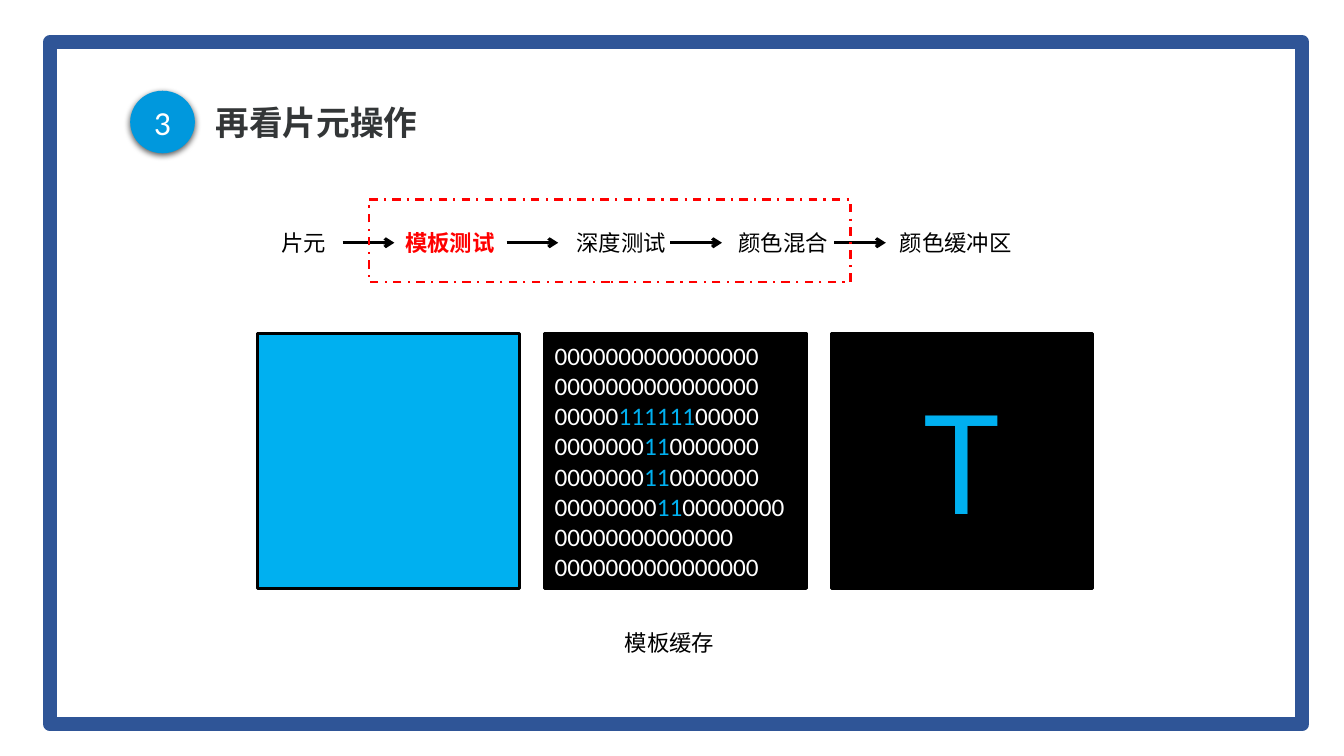
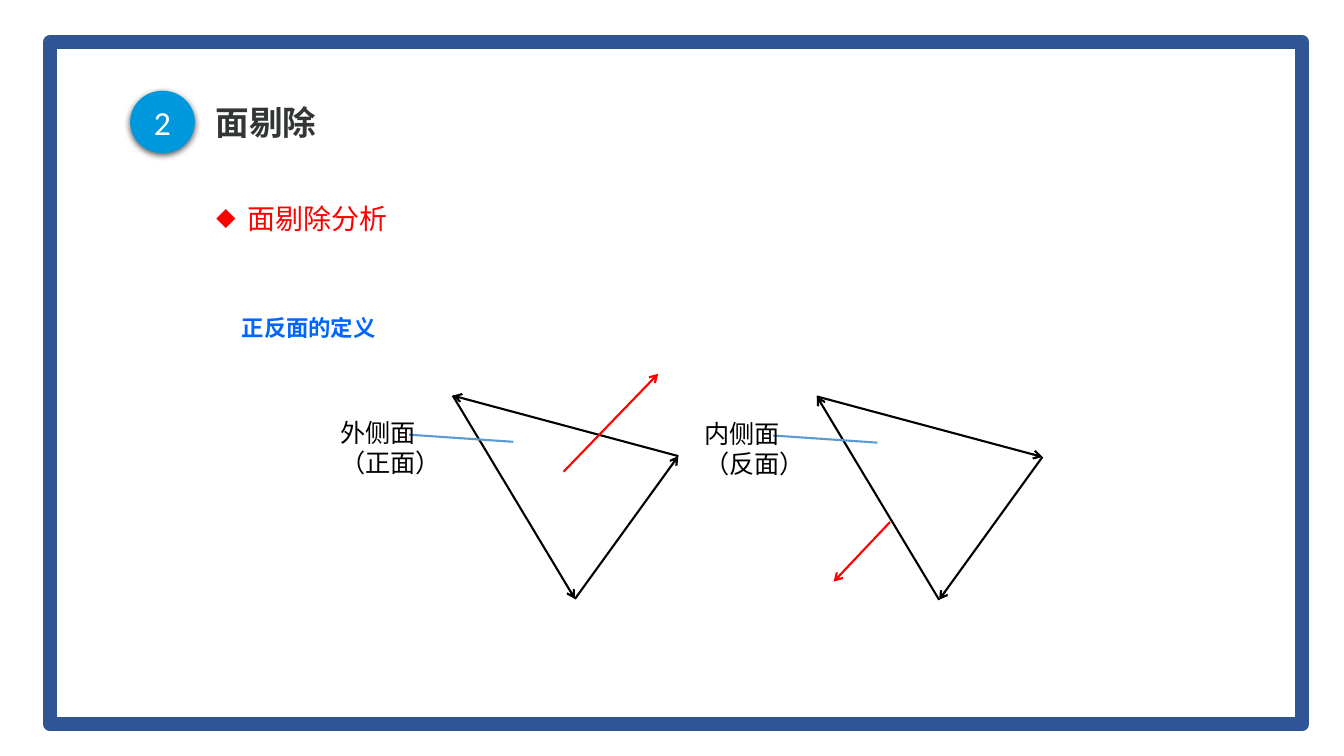
from itertools import groupby

from lxml import etree
from pptx import Presentation
from pptx.dml.color import RGBColor
from pptx.enum.dml import MSO_LINE
from pptx.enum.shapes import MSO_CONNECTOR, MSO_SHAPE
from pptx.enum.text import MSO_ANCHOR, PP_ALIGN
from pptx.oxml.ns import qn
from pptx.util import Inches, Pt

RECT, OVAL = MSO_SHAPE.RECTANGLE, MSO_SHAPE.OVAL
STRAIGHT = MSO_CONNECTOR.STRAIGHT
MIDDLE = MSO_ANCHOR.MIDDLE
LEFT, CENTER = PP_ALIGN.LEFT, PP_ALIGN.CENTER
DASH = MSO_LINE.DASH_DOT

# The slide is a grid of 32 columns by 18 rows of square cells.
WIDE, HIGH = Inches(13.333), Inches(7.5)
CELL = HIGH / 18

HAN, LATIN = "Noto Sans CJK SC", "Calibri"
HUES = {
    "frame": "2F5597",
    "badge": "0098DD",
    "title": "333637",
    "sky": "00B0F0",
    "blue": "0066FF",
    "lead": "5B9BD5",
    "red": "FF0000",
    "black": "000000",
    "white": "FFFFFF",
}
BITS = [
    "0000000000000000",
    "0000000000000000",
    "0000011111100000",
    "0000000110000000",
    "0000000110000000",
    "00000000110000000000000000000000",
    "0000000000000000",
]


def rgb(hue):
    return RGBColor.from_string(HUES[hue])


def grid(*cells):
    return [round(n * CELL) for n in cells]


def sub(parent, tag, **attrs):
    node = etree.SubElement(parent, qn(tag))
    for key, value in attrs.items():
        node.set(key, str(value))
    return node


def shape(slide, kind, at, fill=None, edge=None, weight=2.25):
    item = slide.shapes.add_shape(kind, *grid(*at))
    item.shadow.inherit = False
    if fill:
        item.fill.solid()
        item.fill.fore_color.rgb = rgb(fill)
    else:
        item.fill.background()
    if edge:
        item.line.color.rgb = rgb(edge)
        item.line.width = Pt(weight)
    else:
        item.line.fill.background()
    return item


def write(item, lines, size, hue, face=HAN, bold=False, align=LEFT, gap=None):
    """Fill a shape; a line is a string or a list of (text, hue) parts."""
    frame = item.text_frame
    frame.word_wrap = True
    frame.vertical_anchor = MIDDLE
    for i, line in enumerate(lines):
        para = frame.add_paragraph() if i else frame.paragraphs[0]
        para.alignment = align
        if gap:
            para.line_spacing = gap
        font = para.font
        font.name, font.size, font.bold = face, Pt(size), bold
        font.color.rgb = rgb(hue)
        sub(font._element, "a:ea", typeface=face)
        parts = [(line, None)] if isinstance(line, str) else line
        for text, tint in parts:
            run = para.add_run()
            run.text = text
            if tint:
                run.font.color.rgb = rgb(tint)


def label(slide, at, lines, size=16, hue="black", **style):
    box = slide.shapes.add_textbox(*grid(*at))
    write(box, lines, size, hue, **style)


def point(slide, text, at):
    """Add a line of text with a diamond bullet."""
    box = slide.shapes.add_textbox(*grid(*at))
    props = box.text_frame.paragraphs[0]._p.get_or_add_pPr()
    indent = Inches(0.31)
    props.set("marL", str(indent))
    props.set("indent", str(-indent))
    sub(props, "a:buSzPct", val=70000)
    sub(props, "a:buFont", typeface=HAN)
    sub(props, "a:buChar", char="◆")
    write(box, [text], 20, "red")


def line(slide, start, end, hue="black", weight=1.5, arrow=True):
    item = slide.shapes.add_connector(STRAIGHT, *grid(*start, *end))
    item.line.color.rgb = rgb(hue)
    item.line.width = Pt(weight)
    if arrow:
        sub(item.line._get_or_add_ln(), "a:tailEnd", type="arrow")
    sub(item._element.spPr, "a:effectLst")


def shade(item):
    """Cast a soft shadow straight down."""
    effects = item._element.spPr.find(qn("a:effectLst"))
    cast = sub(effects, "a:outerShdw", blurRad=Pt(4.5), dist=Pt(1.5),
               dir=5400000, algn="t", rotWithShape=0)
    tint = sub(cast, "a:srgbClr", val=HUES["black"])
    sub(tint, "a:alpha", val=63000)


def page(deck, number, title):
    slide = deck.slides.add_slide(deck.slide_layouts[6])
    shape(slide, RECT, (1.2, 1, 29.8, 16.25), "white", "frame", 10)
    label(slide, (4.9, 2.23, 20, 1.46), [title], 24, "title",
          bold=True, gap=0.9)
    badge = shape(slide, OVAL, (3.1, 2.16, 1.54, 1.49), "badge")
    shade(badge)
    write(badge, [number], 24, "white", face=LATIN, align=CENTER)
    return slide


def steps(slide):
    """Draw the row of fragment operations."""
    row = 5.78
    names = {"片元": 6.46, "模板测试": 9.41, "深度测试": 13.49,
             "颜色混合": 17.35, "颜色缓冲区": 21.19}
    for name, left in names.items():
        main = name == "模板测试"
        label(slide, (left, row - 0.45, 4, 0.9), [name],
              hue="red" if main else "black", bold=main)
    for i in range(4):
        left = 8.16 + 3.9 * i
        line(slide, (left, row), (left + 1.23, row), weight=2.25)
    ring = shape(slide, RECT, (8.78, 4.75, 11.47, 1.97), None, "red", 1.5)
    ring.line.dash_style = DASH


def panels(slide):
    """Draw the colour, the stencil bits and the masked result."""
    color, mask, result = [
        shape(slide, RECT, (6.14 + 6.83 * i, 7.94, 6.22, 6.07), fill, "black")
        for i, fill in enumerate(["sky", "black", "black"])
    ]
    tints = {"0": None, "1": "sky"}
    rows = [[("".join(run), tints[bit]) for bit, run in groupby(row)]
            for row in BITS]
    write(mask, rows, 18, "white", face=LATIN)
    write(result, ["T"], 96, "sky", align=CENTER)


def face(slide, left, top, lines, flip, normal):
    """Draw a wound triangle with its normal and label."""
    def spot(x, y):
        return left + x, top + y

    a, b, c = spot(0, 0), spot(5.37, 1.44), spot(2.91, 4.84)
    for start, end in [(b, a), (a, c), (c, b)]:
        if flip:
            start, end = end, start
        line(slide, start, end)
    line(slide, *[spot(*end) for end in normal], hue="red")
    line(slide, spot(1.44, 1.1), spot(-1.04, 0.93), "lead", arrow=False)
    label(slide, (*spot(-2.92, 0.38), 2.9, 1.7), lines, 18, gap=Pt(21.6))


def main():
    deck = Presentation()
    deck.slide_width, deck.slide_height = WIDE, HIGH

    slide = page(deck, "3", "再看片元操作")
    steps(slide)
    panels(slide)
    label(slide, (14.64, 14.86, 4, 0.9), ["模板缓存"])

    slide = page(deck, "2", "面剔除")
    point(slide, "面剔除分析", (4.92, 4.6, 25, 1.2))
    label(slide, (5.52, 7.34, 6, 0.9), ["正反面的定义"], hue="blue", bold=True)
    face(slide, 10.78, 9.42, ["外侧面", "（正面）"], False,
         [(2.64, 1.81), (4.89, -0.52)])
    face(slide, 19.45, 9.44, ["内侧面", "（反面）"], True,
         [(1.74, 2.99), (0.4, 4.41)])

    deck.save("out.pptx")


if __name__ == "__main__":
    main()
